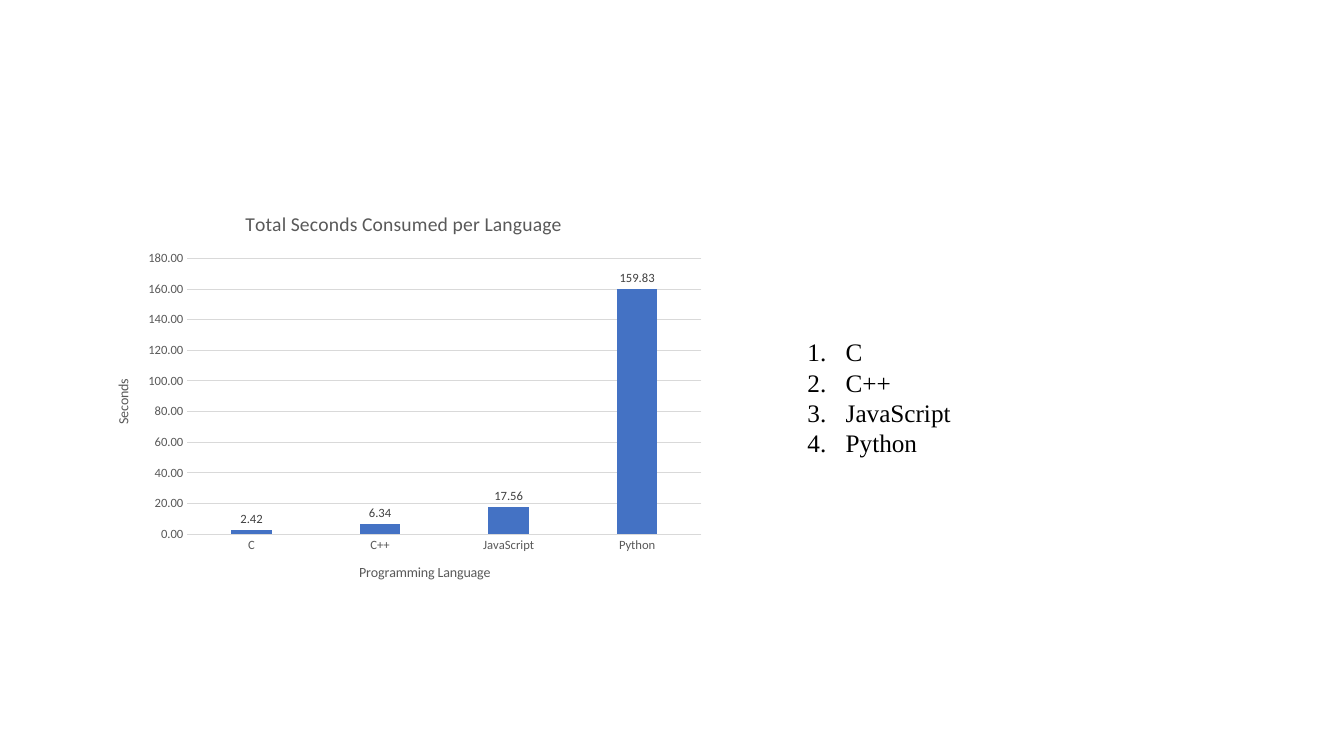
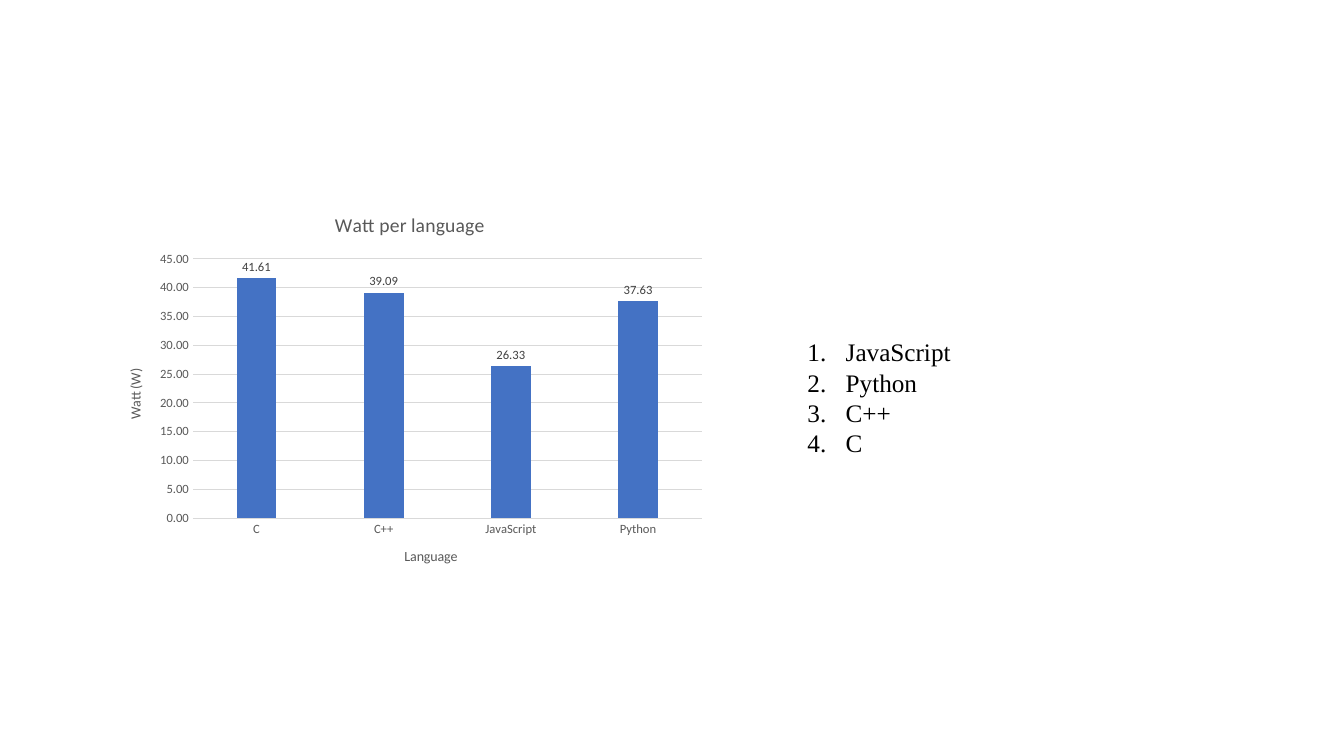
from lxml.etree import SubElement
from pptx import Presentation
from pptx.chart.data import CategoryChartData as ChartData
from pptx.dml.color import RGBColor as Color
from pptx.enum.chart import XL_CHART_TYPE as ChartType
from pptx.enum.chart import XL_LABEL_POSITION as LabelPosition
from pptx.enum.chart import XL_TICK_MARK as TickMark
from pptx.enum.text import MSO_AUTO_SIZE as AutoSize
from pptx.oxml.ns import qn
from pptx.util import Inches, Pt

COLORS = {
    "bar": "4472C4",
    "grid": "D9D9D9",
    "caption": "595959",
    "value": "404040",
    "text": "000000",
}
CHART_FONT = "Calibri"
LIST_FONT = "Times New Roman"
NUMBER_FORMAT = {"number_format": "0.00", "number_format_is_linked": False}
LANGUAGES = ["C", "C++", "JavaScript", "Python"]
LIST_BOX = (7.91, 3.29, 3.43, 1.31)
LIST_INDENT = Inches(0.38)
PAGES = [
    {
        "title": "Total Seconds Consumed per Language",
        "category": "Programming Language",
        "unit": "Seconds",
        "values": [2.42, 6.34, 17.56, 159.83],
        "box": (0.93, 1.92, 6.15, 4.05),
    },
    {
        "title": "Watt per language",
        "category": "Language",
        "unit": "Watt (W)",
        "values": [41.61, 39.09, 26.33, 37.63],
        "box": (1.05, 1.93, 6.03, 3.88),
    },
]


def apply(target, formats):
    """Set each attribute of the target from a dict."""
    for name, value in formats.items():
        setattr(target, name, value)


def style_font(font, size, color, name=CHART_FONT):
    """Give a font its face, size and colour."""
    apply(font, {"name": name, "size": Pt(size), "bold": False})
    font.color.rgb = Color.from_string(COLORS[color])


def style_line(line):
    """Draw a thin grey chart line."""
    line.width = Pt(0.75)
    line.color.rgb = Color.from_string(COLORS["grid"])


def write_caption(title, text, size):
    """Write a chart title or an axis title."""
    span = title.text_frame.paragraphs[0].add_run()
    span.text = text
    style_font(span.font, size, "caption")


def style_axis(axis, caption):
    """Style the labels, tick marks and title shared by both axes."""
    apply(axis, {"major_tick_mark": TickMark.NONE, "minor_tick_mark": TickMark.NONE})
    style_font(axis.tick_labels.font, 9, "caption")
    write_caption(axis.axis_title, caption, 10)


def style_bars(plot):
    """Style the columns and their value labels."""
    apply(plot, {"gap_width": 219, "overlap": -27, "vary_by_categories": False})
    bars = plot.series[0]
    bars.format.fill.solid()
    bars.format.fill.fore_color.rgb = Color.from_string(COLORS["bar"])
    labels = bars.data_labels
    apply(labels, {"show_value": True, "position": LabelPosition.OUTSIDE_END, **NUMBER_FORMAT})
    style_font(labels.font, 9, "value")


def add_column_chart(page, box, content):
    """Place the column chart of one measure in the box."""
    data = ChartData(number_format="0.00")
    data.categories = LANGUAGES
    data.add_series("Series 1", content["values"])
    frame = page.shapes.add_chart(ChartType.COLUMN_CLUSTERED, *map(Inches, box), data)
    chart = frame.chart
    apply(chart, {"has_legend": False, "has_title": True})
    style_font(chart.font, 10, "text")
    write_caption(chart.chart_title, content["title"], 14)
    style_bars(chart.plots[0])

    style_axis(chart.category_axis, content["category"])
    style_line(chart.category_axis.format.line)

    value_axis = chart.value_axis
    style_axis(value_axis, content["unit"])
    apply(value_axis, {"has_major_gridlines": True, "minimum_scale": 0})
    apply(value_axis.tick_labels, NUMBER_FORMAT)
    style_line(value_axis.major_gridlines.format.line)
    value_axis.format.line.fill.background()
    for body in value_axis.axis_title._element.iter(qn("a:bodyPr")):
        body.set("rot", "-5400000")
        body.set("vert", "horz")


def number_paragraph(para):
    """Give a paragraph an automatic number and a hanging indent."""
    properties = para._p.get_or_add_pPr()
    properties.set("marL", str(LIST_INDENT))
    properties.set("indent", str(-LIST_INDENT))
    SubElement(properties, qn("a:buFont"), typeface="+mj-lt")
    SubElement(properties, qn("a:buAutoNum"), type="arabicPeriod")


def add_ranking(page, box, values):
    """List the languages from the lowest value to the highest."""
    frame = page.shapes.add_textbox(*map(Inches, box)).text_frame
    apply(frame, {"word_wrap": True, "auto_size": AutoSize.SHAPE_TO_FIT_TEXT})
    for index, (_, language) in enumerate(sorted(zip(values, LANGUAGES))):
        para = frame.add_paragraph() if index else frame.paragraphs[0]
        number_paragraph(para)
        span = para.add_run()
        span.text = language
        style_font(span.font, 18, "text", LIST_FONT)


def add_measure_page(deck, content):
    """Build a slide with a chart and its ranking."""
    page = deck.slides.add_slide(deck.slide_layouts[6])
    add_column_chart(page, content["box"], content)
    add_ranking(page, LIST_BOX, content["values"])


def main():
    """Build and save the deck."""
    deck = Presentation()
    apply(deck, {"slide_width": Inches(13.33), "slide_height": Inches(7.5)})
    for content in PAGES:
        add_measure_page(deck, content)
    deck.save("out.pptx")


if __name__ == "__main__":
    main()
